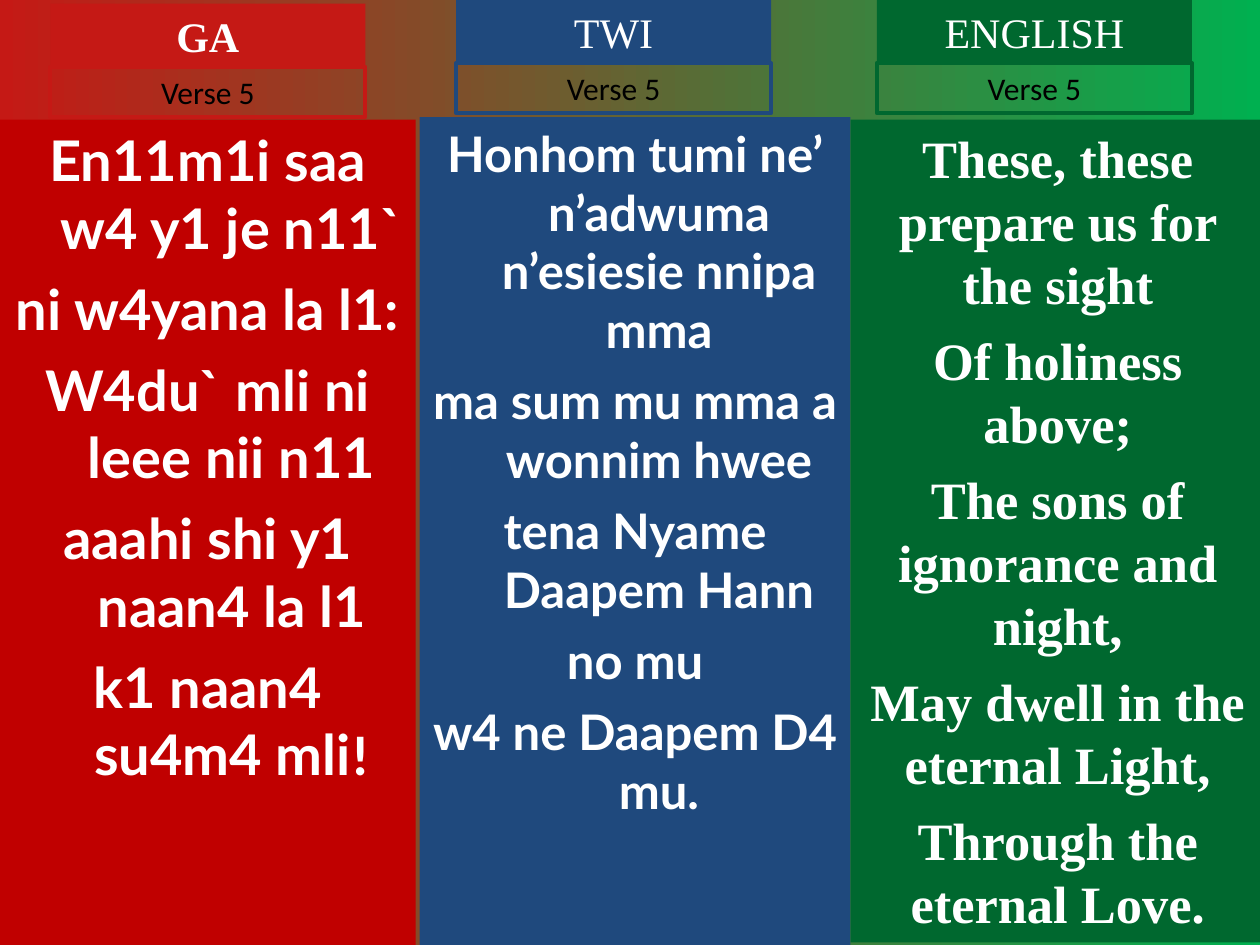
from pptx import Presentation
from pptx.dml.color import RGBColor
from pptx.enum.shapes import MSO_SHAPE
from pptx.enum.text import MSO_ANCHOR, PP_ALIGN
from pptx.util import Inches, Pt

RECTANGLE = MSO_SHAPE.RECTANGLE
CENTER = PP_ALIGN.CENTER
TOP, MIDDLE = MSO_ANCHOR.TOP, MSO_ANCHOR.MIDDLE

THEME = {
    "red": "C51915", "deep_red": "C00000", "blue": "1F497D",
    "green": "00682F", "bright_green": "00B050",
    "white": "FFFFFF", "black": "000000",
    "heading_size": 24, "label_size": 18, "border": 2.25,
    "serif": "Times New Roman", "sans": "Lato", "label_font": "Calibri",
}
HANGING = 0.38
HEADER_WIDTH, HEADING_HEIGHT, LABEL_HEIGHT = 2.5, 0.5, 0.4


def color(name):
    return RGBColor.from_string(THEME[name])


def add_block(slide, box, lines, font, size, text_color, bold=False,
              fill=None, border=None, anchor=MIDDLE, hanging=0):
    """Add a rectangle with centred paragraphs and return its text frame."""
    shape = slide.shapes.add_shape(RECTANGLE, *(Inches(value) for value in box))
    shape.shadow.inherit = False
    if fill:
        shape.fill.solid()
        shape.fill.fore_color.rgb = color(fill)
    else:
        shape.fill.background()
    if border:
        shape.line.color.rgb = color(border)
        shape.line.width = Pt(THEME["border"])
    else:
        shape.line.fill.background()

    text_frame = shape.text_frame
    text_frame.word_wrap = True
    text_frame.vertical_anchor = anchor
    text_frame.text = "\n".join(lines)
    for index, paragraph in enumerate(text_frame.paragraphs):
        paragraph.alignment = CENTER
        paragraph.space_before = Pt(size / 4 if index else 0)
        if hanging:
            properties = paragraph._p.get_or_add_pPr()
            properties.set("marL", str(Inches(hanging)))
            properties.set("indent", str(-Inches(hanging)))
        for run in paragraph.runs:
            run.font.name = font
            run.font.size = Pt(size)
            run.font.bold = bold
            run.font.color.rgb = color(text_color)
    return text_frame


# One entry per language column
COLUMNS = [
    {"heading": "GA", "bold": True, "header": (0.4, 0.03),
     "accent": "red", "fill": "deep_red", "body": (0, 0.95, 3.3, 6.55),
     "font": "sans", "size": 32, "hanging": HANGING,
     "verse": ["En11m1i saa w4 y1 je n11`", "ni w4yana la l1:",
               "W4du` mli ni leee nii n11", "aaahi shi y1 naan4 la l1",
               "k1 naan4 su4m4 mli"],
     "ending": "!"},
    {"heading": "TWI", "bold": False, "header": (3.62, 0),
     "accent": "blue", "fill": "blue", "body": (3.33, 0.93, 3.42, 6.57),
     "font": "sans", "size": 28, "hanging": HANGING,
     "verse": ["Honhom tumi ne’ n’adwuma n’esiesie nnipa mma",
               "ma sum mu mma a wonnim hwee", "tena Nyame Daapem Hann",
               "no mu", "w4 ne Daapem D4 mu."],
     "ending": ""},
    {"heading": "ENGLISH", "bold": False, "header": (6.96, 0),
     "accent": "green", "fill": "green", "body": (6.75, 0.95, 3.29, 6.53),
     "font": "serif", "size": 30, "hanging": 0,
     "verse": ["These, these prepare us for the sight", "Of holiness above;",
               "The sons of ignorance and night,",
               "May dwell in the eternal Light,", "Through the eternal Love."],
     "ending": ""},
]

presentation = Presentation()
presentation.slide_width, presentation.slide_height = Inches(10), Inches(7.5)
slide = presentation.slides.add_slide(presentation.slide_layouts[6])

# Background gradient from left to right
background = slide.background.fill
background.gradient()
background.gradient_angle = 0
for stop, position, name in zip(background.gradient_stops, (0, 1),
                                ("red", "bright_green")):
    stop.position = position
    stop.color.rgb = color(name)

for column in COLUMNS:
    # Verse panel
    verse = add_block(slide, column["body"], column["verse"],
                      THEME[column["font"]], column["size"], "white", bold=True,
                      fill=column["fill"], anchor=TOP, hanging=column["hanging"])
    if column["ending"]:
        run = verse.paragraphs[-1].add_run()
        run.text = column["ending"]
        run.font.name = THEME["label_font"]
        run.font.size = Pt(column["size"])
        run.font.bold = True
        run.font.color.rgb = color("white")

    # Language heading and verse label
    left, top = column["header"]
    add_block(slide, (left, top, HEADER_WIDTH, HEADING_HEIGHT),
              [column["heading"]], THEME["serif"], THEME["heading_size"], "white",
              bold=column["bold"], fill=column["accent"])
    add_block(slide, (left, top + HEADING_HEIGHT, HEADER_WIDTH, LABEL_HEIGHT),
              ["Verse 5"], THEME["label_font"], THEME["label_size"], "black",
              border=column["accent"])

presentation.save("out.pptx")
